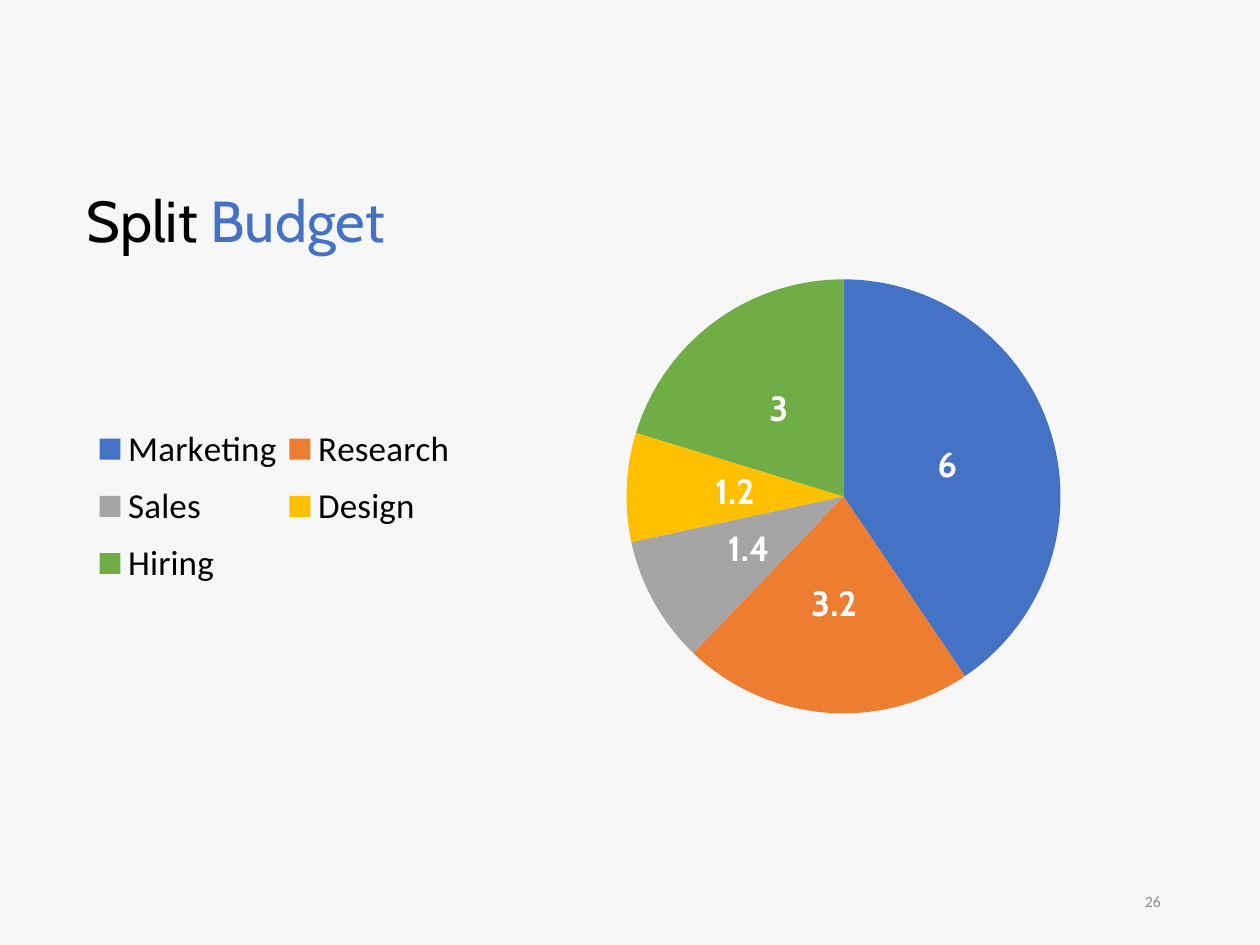
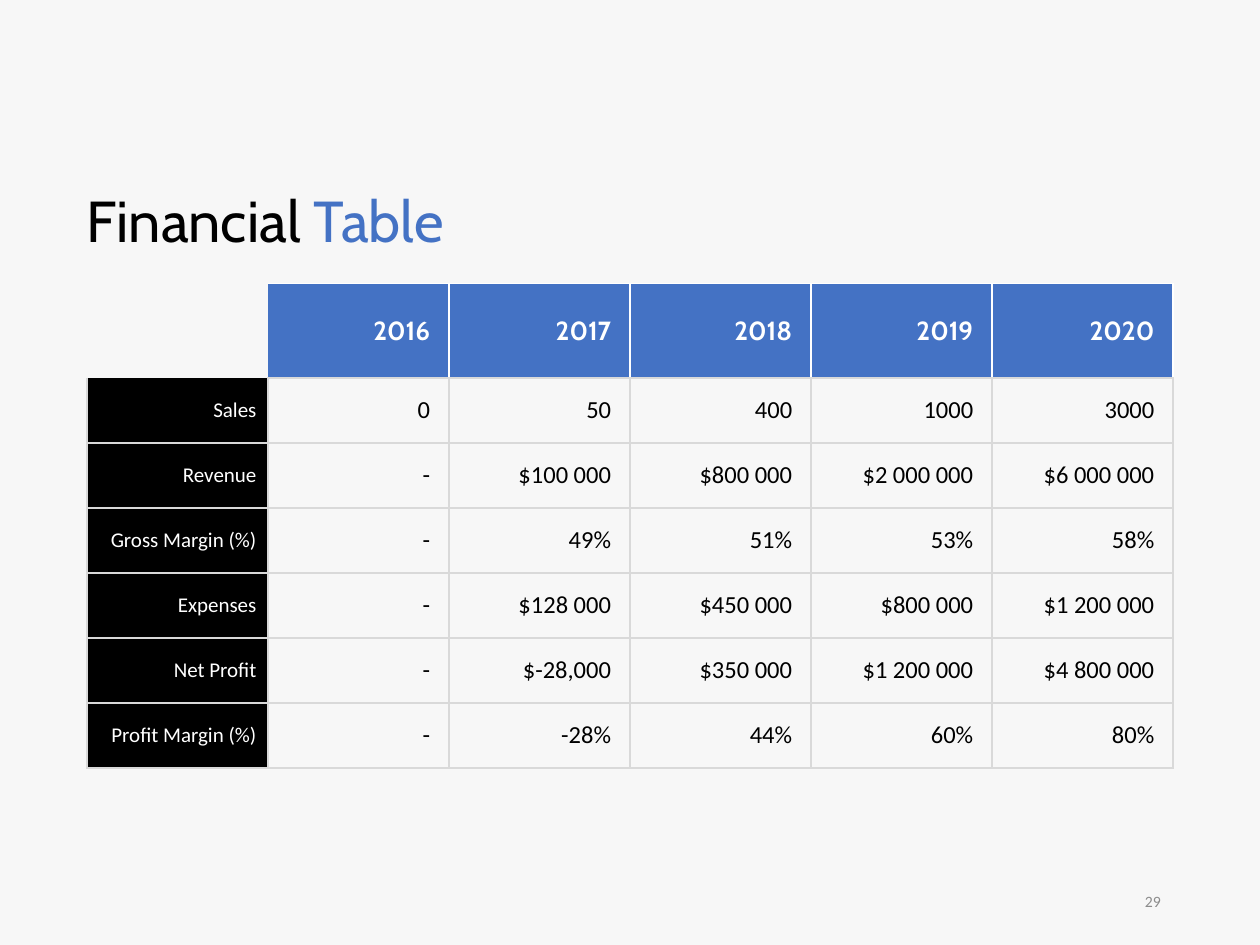
from dataclasses import dataclass

import pptx
import pptx.chart.data
import pptx.dml.color
import pptx.enum.chart
import pptx.enum.text
import pptx.oxml
import pptx.oxml.ns
import pptx.util
from lxml import etree
from pptx.util import Cm

ANCHOR = pptx.enum.text.MSO_ANCHOR
RIGHT = pptx.enum.text.PP_ALIGN.RIGHT


@dataclass(frozen=True)
class Theme:
    background: str = "F7F7F7"
    ink: str = "000000"
    paper: str = "FFFFFF"
    accent: str = "4472C4"
    grid: str = "D9D9D9"
    muted: str = "8C8C8C"
    slices: tuple = ("4472C4", "ED7D31", "A5A5A5", "FFC000", "70AD47")
    heading_face: str = "Cabin"
    body_face: str = "Calibri"
    title_size: float = 33
    chart_size: float = 20
    header_size: float = 15
    value_size: float = 14
    label_size: float = 12
    number_size: float = 9


def rgb(color):
    return pptx.dml.color.RGBColor.from_string(color)


def style_font(font, face, size, color=None, bold=False):
    font.name, font.size, font.bold = face, pptx.util.Pt(size), bold
    if color:
        font.color.rgb = rgb(color)


def place_legend(legend, x, y, w, h):
    """Fix the legend box, in fractions of the chart area."""
    set_layout(legend._element.get_or_add_layout(), x=x, y=y, w=w, h=h)


def place_plot(chart, x, y, w, h):
    """Fix the inner plot area, in fractions of the chart area."""
    plot_area = chart._chartSpace.chart.plotArea
    layout = plot_area.find(pptx.oxml.ns.qn("c:layout"))
    if layout is None:
        layout = pptx.oxml.parse_xml(f'<c:layout {pptx.oxml.ns.nsdecls("c")}/>')
        plot_area.insert(0, layout)
    set_layout(layout, target="inner", x=x, y=y, w=w, h=h)


def set_layout(layout, target=None, **box):
    for child in list(layout):
        layout.remove(child)
    qn = pptx.oxml.ns.qn
    manual = etree.SubElement(layout, qn("c:manualLayout"))
    if target:
        etree.SubElement(manual, qn("c:layoutTarget"), val=target)
    for axis in "xy":
        etree.SubElement(manual, qn(f"c:{axis}Mode"), val="edge")
    for side, fraction in box.items():
        etree.SubElement(manual, qn(f"c:{side}"), val=str(fraction))


def set_borders(cell, **colors):
    """Draw 1 pt borders on the sides L, R, T, B; a side not named has none."""
    cell_properties = cell._tc.get_or_add_tcPr()
    for index, side in enumerate("LRTB"):
        color = colors.get(side)
        paint = (f'<a:solidFill><a:srgbClr val="{color}"/></a:solidFill>'
                 if color else "<a:noFill/>")
        line = (f'<a:ln{side} {pptx.oxml.ns.nsdecls("a")} w="{pptx.util.Pt(1)}">'
                f"{paint}</a:ln{side}>")
        cell_properties.insert(index, pptx.oxml.parse_xml(line))


class Deck:
    left = Cm(1.75)

    def __init__(self, theme):
        self.theme = theme
        self.presentation = pptx.Presentation()
        self.presentation.slide_width = Cm(25.4)
        self.presentation.slide_height = Cm(19.05)
        fill = self.presentation.slide_master.background.fill
        fill.solid()
        fill.fore_color.rgb = rgb(theme.background)
        self.slide = None

    def start_slide(self, plain, accented, number):
        layout = self.presentation.slide_layouts[6]
        self.slide = self.presentation.slides.add_slide(layout)
        self.title(plain, accented)
        self.slide_number(number)

    def title(self, plain, accented):
        theme = self.theme
        frame = self.slide.shapes.add_textbox(
            self.left, Cm(3.76), Cm(9.35), Cm(1.52)).text_frame
        frame.word_wrap = True
        frame.auto_size = pptx.enum.text.MSO_AUTO_SIZE.SHAPE_TO_FIT_TEXT
        frame.margin_left = 0
        heading = frame.paragraphs[0]
        heading.line_spacing = 0.9
        style_font(heading.font, theme.heading_face, theme.title_size)
        for words, color in ((plain + " ", theme.ink), (accented, theme.accent)):
            run = heading.add_run()
            run.text = words
            run.font.color.rgb = rgb(color)

    def slide_number(self, number):
        theme = self.theme
        frame = self.slide.shapes.add_textbox(
            Cm(17.93), Cm(17.65), Cm(5.72), Cm(1.02)).text_frame
        frame.word_wrap = True
        frame.vertical_anchor = ANCHOR.MIDDLE
        paragraph = frame.paragraphs[0]
        paragraph.text = str(number)
        paragraph.alignment = RIGHT
        style_font(paragraph.font, theme.body_face, theme.number_size, theme.muted)

    def pie(self, shares):
        theme = self.theme
        data = pptx.chart.data.CategoryChartData()
        data.categories = list(shares)
        data.add_series("Series 1", list(shares.values()))
        chart = self.slide.shapes.add_chart(
            pptx.enum.chart.XL_CHART_TYPE.PIE,
            self.left, Cm(5.61), Cm(23.65), Cm(10.11), data).chart
        chart.has_title = False
        style_font(chart.font, theme.body_face, 10, theme.ink)
        place_plot(chart, x=0.46, y=0, w=0.37, h=0.87)

        chart.has_legend = True
        legend = chart.legend
        legend.position = pptx.enum.chart.XL_LEGEND_POSITION.BOTTOM
        legend.include_in_layout = False
        style_font(legend.font, theme.body_face, theme.chart_size, theme.ink)
        place_legend(legend, x=0, y=0.27, w=0.32, h=0.37)

        plot = chart.plots[0]
        plot.vary_by_categories = True
        for index, color in enumerate(theme.slices):
            fill = plot.series[0].points[index].format.fill
            fill.solid()
            fill.fore_color.rgb = rgb(color)
        labels = plot.series[0].data_labels
        labels.show_value = True
        labels.position = pptx.enum.chart.XL_LABEL_POSITION.CENTER
        style_font(labels.font, theme.heading_face, theme.chart_size,
                   theme.paper, bold=True)

    def table(self, years, records):
        theme = self.theme
        rows = [("", *years), *records]
        column_width, header_height, row_height = Cm(3.65), Cm(1.9), Cm(1.31)
        table = self.slide.shapes.add_table(
            len(rows), len(rows[0]), self.left, Cm(5.72),
            column_width * len(rows[0]),
            header_height + row_height * len(records)).table
        table.first_row = table.horz_banding = False
        for column in table.columns:
            column.width = column_width
        for row_index, (row, texts) in enumerate(zip(table.rows, rows)):
            row.height = row_height if row_index else header_height
            for column_index, text in enumerate(texts):
                self.table_cell(table.cell(row_index, column_index), text,
                                row_index, column_index)

    def table_cell(self, cell, text, row_index, column_index):
        theme = self.theme
        is_header, is_label = row_index == 0, column_index == 0
        borders = dict.fromkeys("LRTB", theme.grid)
        fill_color = None
        font_style = (theme.body_face, theme.value_size, theme.ink)
        if is_header and is_label:
            borders = {}
        elif is_header:
            borders.update(L=theme.paper if column_index > 1 else None,
                           R=theme.paper, T=theme.paper)
            fill_color = theme.accent
            font_style = (theme.heading_face, theme.header_size, theme.paper, True)
        elif is_label:
            if row_index == 1:
                borders["T"] = None
            fill_color = theme.ink
            font_style = (theme.body_face, theme.label_size, theme.paper)

        if fill_color:
            cell.fill.solid()
            cell.fill.fore_color.rgb = rgb(fill_color)
        else:
            cell.fill.background()
        set_borders(cell, **borders)
        cell.vertical_anchor = ANCHOR.MIDDLE
        cell.margin_left = Cm(0.18)
        cell.margin_right = Cm(0.23 if is_label else 0.38)
        cell.margin_top = cell.margin_bottom = Cm(0.1)
        paragraph = cell.text_frame.paragraphs[0]
        paragraph.text = text
        paragraph.alignment = RIGHT
        style_font(paragraph.font, *font_style)


def main():
    deck = Deck(Theme())

    deck.start_slide("Split", "Budget", 26)
    deck.pie({"Marketing": 6, "Research": 3.2, "Sales": 1.4,
              "Design": 1.2, "Hiring": 3})

    deck.start_slide("Financial", "Table", 29)
    deck.table(
        [str(year) for year in range(2016, 2021)],
        [("Sales", "0", "50", "400", "1000", "3000"),
         ("Revenue", "-", "$100 000", "$800 000", "$2 000 000", "$6 000 000"),
         ("Gross Margin (%)", "-", "49%", "51%", "53%", "58%"),
         ("Expenses", "-", "$128 000", "$450 000", "$800 000", "$1 200 000"),
         ("Net Profit", "-", "$-28,000", "$350 000", "$1 200 000", "$4 800 000"),
         ("Profit Margin (%)", "-", "-28%", "44%", "60%", "80%")])

    deck.presentation.save("out.pptx")


if __name__ == "__main__":
    main()
